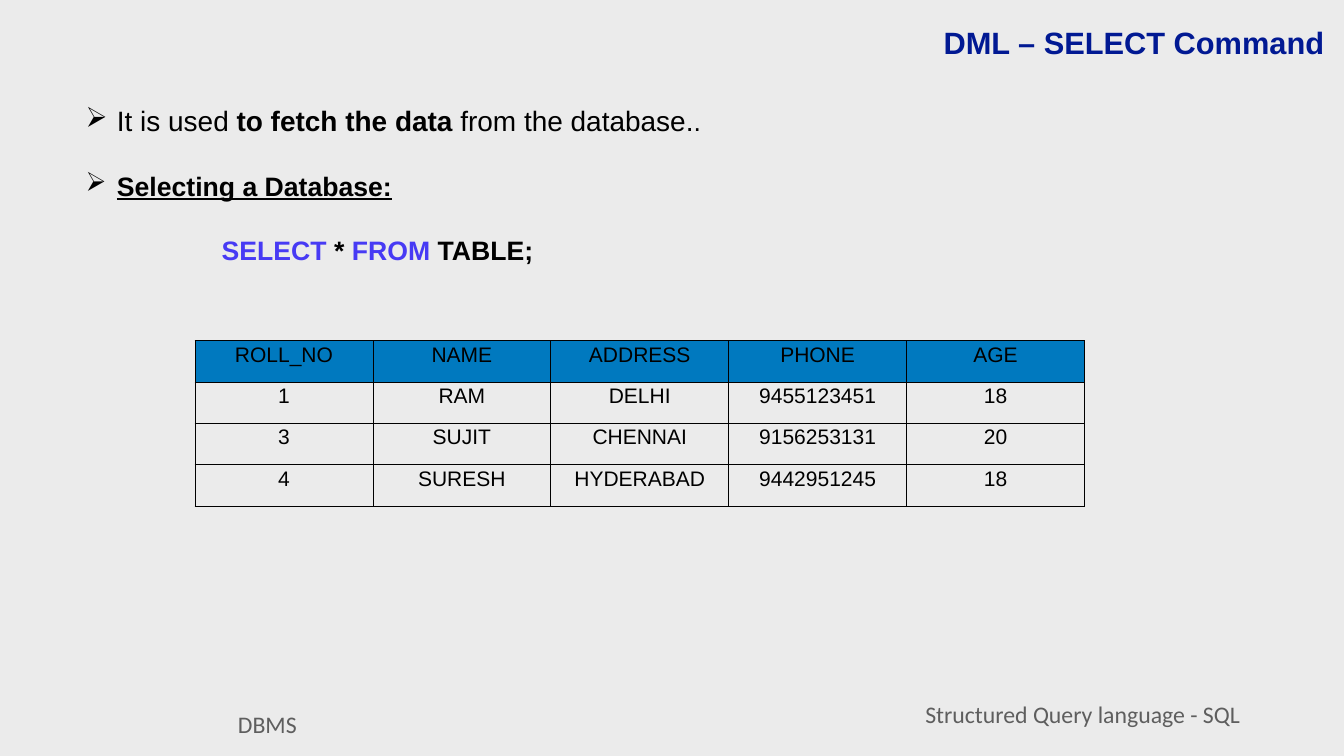
from dataclasses import dataclass

import pptx
import pptx.dml.color
import pptx.enum.shapes
import pptx.enum.text
import pptx.oxml
import pptx.oxml.ns
import pptx.util

Inches = pptx.util.Inches
Pt = pptx.util.Pt
RGBColor = pptx.dml.color.RGBColor
Align = pptx.enum.text.PP_ALIGN
Anchor = pptx.enum.text.MSO_ANCHOR

BACKGROUND = RGBColor(0xEB, 0xEB, 0xEB)
NAVY = RGBColor(0x01, 0x19, 0x93)
GREY = RGBColor(0x5E, 0x5E, 0x5E)
BLACK = RGBColor(0, 0, 0)
KEYWORD = RGBColor(0x47, 0x3A, 0xF4)
HEADER = RGBColor(0x00, 0x79, 0xBF)


@dataclass(frozen=True)
class Span:
    text: str
    size: float = 38
    color: RGBColor = BLACK
    bold: bool = False
    underline: bool = False
    font: str = "Arial"


@dataclass(frozen=True)
class Line:
    spans: tuple[Span, ...]
    bullet: bool = False
    indent: float = 0


@dataclass(frozen=True)
class Footer:
    text: str
    left: float
    top: float
    height: float


FOOTERS = (
    Footer("DBMS", 0.42, 13.97, 0.78),
    Footer("Structured Query language - SQL", 16.6, 13.76, 0.83),
)
LINES = (
    Line((Span("It is used ", 40), Span("to fetch the data", 40, bold=True),
          Span(" from the database.", 40), Span(".")), True, 0.62),
    Line((Span("Selecting a Database:", bold=True, underline=True),), True, 0.62),
    Line((Span("SELECT", color=KEYWORD, bold=True), Span(" * ", bold=True),
          Span("FROM", color=KEYWORD, bold=True), Span(" TABLE;", bold=True)),
         indent=2.7),
)
STUDENTS = (
    ("ROLL_NO", "NAME", "ADDRESS", "PHONE", "AGE"),
    ("1", "RAM", "DELHI", "9455123451", "18"),
    ("3", "SUJIT", "CHENNAI", "9156253131", "20"),
    ("4", "SURESH", "HYDERABAD", "9442951245", "18"),
)
COLUMN_WIDTH = 3.53
ROW_HEIGHT = 0.82


def add_span(para, span: Span) -> None:
    run = para.add_run()
    run.text = span.text
    run.font.name = span.font
    run.font.size = Pt(span.size)
    run.font.bold = span.bold
    run.font.underline = span.underline
    run.font.color.rgb = span.color


def set_frame(frame, margin: float, anchor) -> None:
    frame.word_wrap = True
    frame.vertical_anchor = anchor
    frame.margin_left = frame.margin_right = Inches(margin)
    frame.margin_top = frame.margin_bottom = Inches(margin)


def add_footer(page, footer: Footer) -> None:
    box = page.shapes.add_shape(
        pptx.enum.shapes.MSO_SHAPE.RECTANGLE, Inches(footer.left),
        Inches(footer.top), Inches(9.77), Inches(footer.height))
    box.shadow.inherit = False
    box.fill.solid()
    box.fill.fore_color.rgb = BACKGROUND
    box.line.fill.background()
    set_frame(box.text_frame, 0, Anchor.MIDDLE)
    para = box.text_frame.paragraphs[0]
    para.alignment = Align.CENTER
    add_span(para, Span(footer.text, 34, GREY, font="Calibri"))


def add_title(page, text: str) -> None:
    box = page.shapes.add_textbox(Inches(9.73), Inches(0.41), Inches(16.62), Inches(1.59))
    set_frame(box.text_frame, 0.06, Anchor.TOP)
    para = box.text_frame.paragraphs[0]
    para.alignment = Align.RIGHT
    add_span(para, Span(text, 44, NAVY, bold=True))


def add_body(page, lines: tuple[Line, ...]) -> None:
    box = page.shapes.add_textbox(Inches(1.64), Inches(2), Inches(23.33), Inches(3.98))
    frame = box.text_frame
    set_frame(frame, 0.06, Anchor.TOP)
    for index, line in enumerate(lines):
        para = frame.add_paragraph() if index else frame.paragraphs[0]
        para.line_spacing = Pt(48)
        para.space_after = Pt(43.4)
        properties = para._p.get_or_add_pPr()
        properties.set("marL", str(Inches(line.indent)))
        if line.bullet:
            properties.set("indent", str(-Inches(line.indent)))
            bullet = pptx.oxml.parse_xml(
                f'<a:buChar {pptx.oxml.ns.nsdecls("a")} char="➢"/>')
            properties.append(bullet)
        for span in line.spans:
            add_span(para, span)


def add_borders(cell) -> None:
    properties = cell._tc.get_or_add_tcPr()
    for index, side in enumerate(("lnL", "lnR", "lnT", "lnB")):
        border = pptx.oxml.parse_xml(
            f'<a:{side} {pptx.oxml.ns.nsdecls("a")} w="{Pt(1)}"><a:solidFill>'
            f'<a:srgbClr val="{BLACK}"/></a:solidFill></a:{side}>')
        properties.insert(index, border)


def add_students(page, rows: tuple[tuple[str, ...], ...]) -> None:
    row_count, column_count = len(rows), len(rows[0])
    table = page.shapes.add_table(
        row_count, column_count, Inches(3.87), Inches(6.76),
        Inches(COLUMN_WIDTH * column_count), Inches(ROW_HEIGHT * row_count)).table
    table.horz_banding = False
    for column in table.columns:
        column.width = Inches(COLUMN_WIDTH)
    for row_index, values in enumerate(rows):
        table.rows[row_index].height = Inches(ROW_HEIGHT)
        for column_index, value in enumerate(values):
            cell = table.cell(row_index, column_index)
            if row_index == 0:
                cell.fill.solid()
                cell.fill.fore_color.rgb = HEADER
            else:
                cell.fill.background()
            add_borders(cell)
            para = cell.text_frame.paragraphs[0]
            para.alignment = Align.CENTER
            add_span(para, Span(value, 30))


def main() -> None:
    deck = pptx.Presentation()
    deck.slide_width = Inches(26.67)
    deck.slide_height = Inches(15)
    page = deck.slides.add_slide(deck.slide_layouts[6])
    page.background.fill.solid()
    page.background.fill.fore_color.rgb = BACKGROUND
    for footer in FOOTERS:
        add_footer(page, footer)
    add_title(page, "DML – SELECT Command")
    add_body(page, LINES)
    add_students(page, STUDENTS)
    deck.save("out.pptx")


if __name__ == "__main__":
    main()
